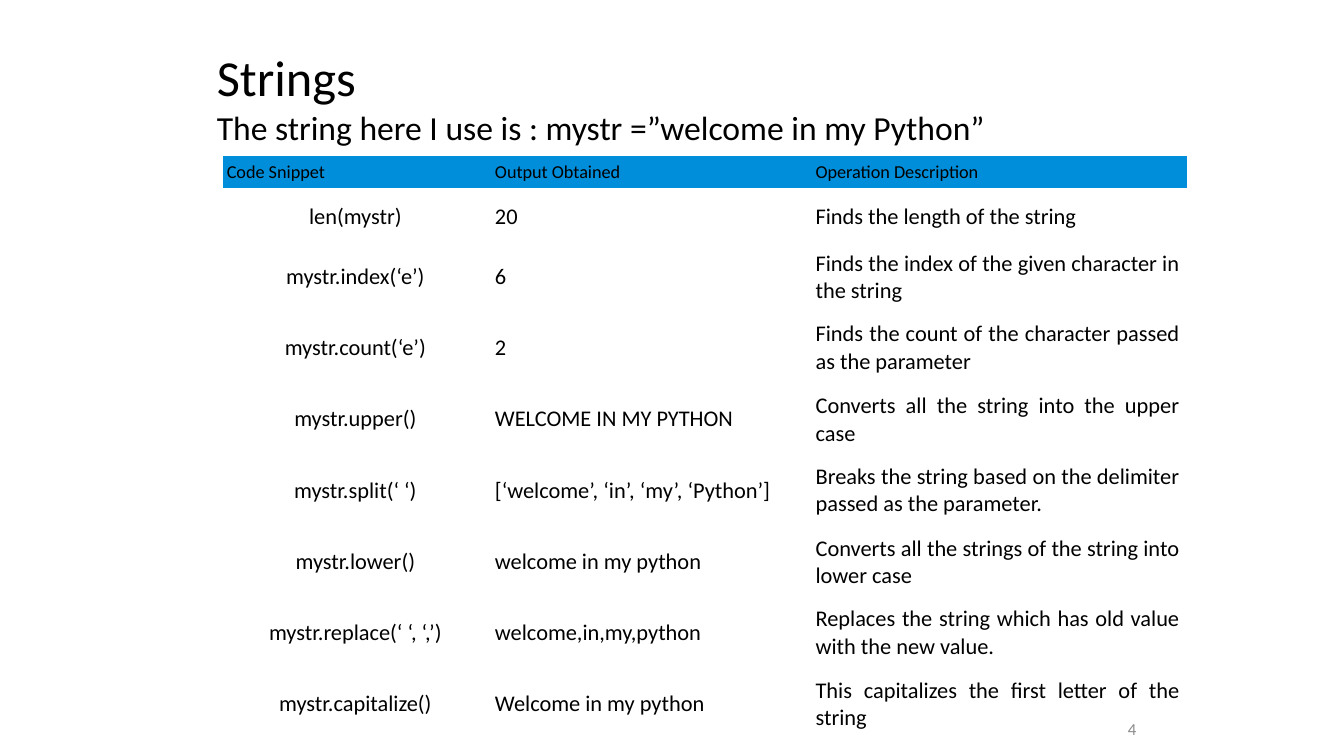
from pptx import Presentation
from pptx.util import Inches, Pt
from pptx.dml.color import RGBColor
from pptx.enum.text import PP_ALIGN, MSO_ANCHOR
from pptx.oxml.ns import qn

TITLE = "Strings"
LEAD = "The string here I use is : mystr =”welcome in my Python”"
PAGE = "4"
ROWS = [
    ("Code Snippet", "Output Obtained", "Operation Description"),
    ("len(mystr)", "20", "Finds the length of the string"),
    ("mystr.index(‘e’)", "6",
     "Finds the index of the given character in the string"),
    ("mystr.count(‘e’)", "2",
     "Finds the count of the character passed as the parameter"),
    ("mystr.upper()", "WELCOME IN MY PYTHON",
     "Converts all the string into the upper case"),
    ("mystr.split(‘ ‘)", "[‘welcome’, ‘in’, ‘my’, ‘Python’]",
     "Breaks the string based on the delimiter passed as the parameter."),
    ("mystr.lower()", "welcome in my python",
     "Converts all the strings of the string into lower case"),
    ("mystr.replace(‘ ‘, ‘,’)", "welcome,in,my,python",
     "Replaces the string which has old value with the new value."),
    ("mystr.capitalize()", "Welcome in my python",
     "This capitalizes the first letter of the string"),
]
COLS = [2.66, 3.18, 3.72]
HEAD, LOW, TALL = 0.32, 0.57, 0.8
HIGHS = [HEAD, LOW] + [TALL if n % 2 else LOW for n in range(2, len(ROWS))]
BLACK, GREY, BLUE = "000000", "8C8C8C", "008DD9"
PLAIN = "{2D5ABB26-0587-4C30-8999-92F81FD0307C}"


def paint(run, size, color):
    run.font.name = "Calibri"
    run.font.size = Pt(size)
    run.font.color.rgb = RGBColor.from_string(color)


def inset(part, left, top, right, bottom):
    part.margin_left, part.margin_top = Inches(left), Inches(top)
    part.margin_right, part.margin_bottom = Inches(right), Inches(bottom)
    part.vertical_anchor = MSO_ANCHOR.MIDDLE


def label(slide, area, text, sizes, color):
    frame = slide.shapes.add_textbox(*map(Inches, area)).text_frame
    frame.word_wrap = True
    inset(frame, 0, 0, 0, 0)
    para = frame.paragraphs[0]
    para.text = text
    for run, size in zip(para.runs, sizes):
        paint(run, size, color)
    return para


def grid(slide):
    area = (2.21, 1.55, sum(COLS), sum(HIGHS))
    frame = slide.shapes.add_table(len(ROWS), len(COLS), *map(Inches, area))
    table = frame.table
    table.first_row = table.horz_banding = False
    next(frame.element.iter(qn("a:tableStyleId"))).text = PLAIN
    for col, wide in zip(table.columns, COLS):
        col.width = Inches(wide)
    for r, (row, high) in enumerate(zip(table.rows, HIGHS)):
        row.height = Inches(high)
        for c, cell in enumerate(row.cells):
            inset(cell, 0.04, 0.04, 0.07, 0.04)
            if r == 0:
                cell.fill.solid()
                cell.fill.fore_color.rgb = RGBColor.from_string(BLUE)
            else:
                cell.fill.background()
            para = cell.text_frame.paragraphs[0]
            para.text = ROWS[r][c]
            mid = r > 0 and c == 0
            para.alignment = PP_ALIGN.CENTER if mid else PP_ALIGN.JUSTIFY
            paint(para.runs[0], 16 if r else 13, BLACK)


def main():
    deck = Presentation()
    deck.slide_width, deck.slide_height = Inches(13.33), Inches(7.5)
    slide = deck.slides.add_slide(deck.slide_layouts[6])
    label(slide, (2.15, 0.45, 10.05, 1.02), TITLE + "\v" + LEAD,
          (36, 24), BLACK)
    page = label(slide, (11.02, 7.07, 0.25, 0.34), PAGE, (12,), GREY)
    page.alignment = PP_ALIGN.RIGHT
    page.line_spacing = Pt(12.4)
    grid(slide)
    deck.save("out.pptx")


if __name__ == "__main__":
    main()
